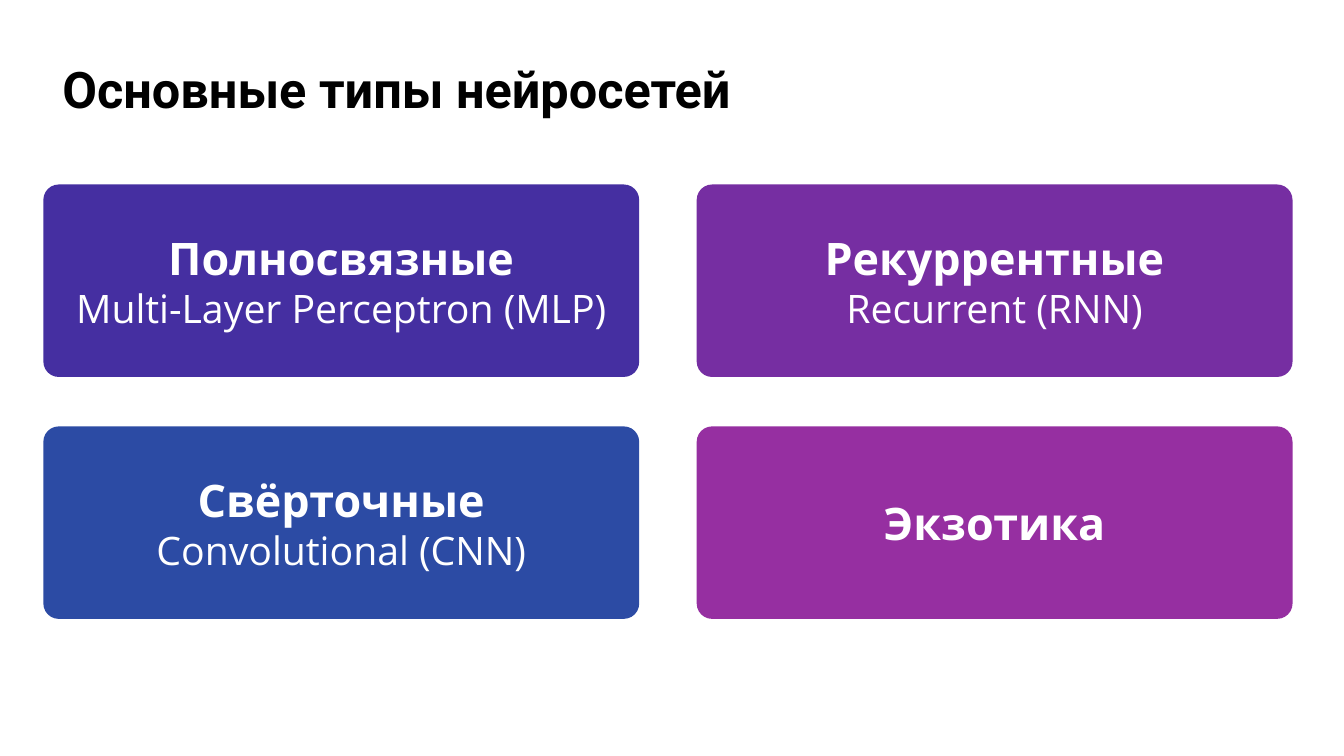
"""Builds a slide with the four main types of neural networks."""
import pptx
import pptx.util
import pptx.dml.color
import pptx.enum.shapes
import pptx.enum.text
from dataclasses import dataclass

Inches = pptx.util.Inches
Align = pptx.enum.text.PP_ALIGN

TITLE = "Основные типы нейросетей"
CARD_ROWS = [
    [("Полносвязные", "Multi-Layer Perceptron (MLP)", "452FA1"),
     ("Рекуррентные", "Recurrent (RNN)", "762EA2")],
    [("Свёрточные", "Convolutional (CNN)", "2C4BA4"),
     ("Экзотика", None, "962FA1")],
]


@dataclass(frozen=True)
class Theme:
    title_font: str = "Roboto"
    card_font: str = "Open Sans"
    title_color: str = "000000"
    card_text: str = "FFFFFF"
    title_size: int = 36
    name_size: int = 32
    detail_size: int = 28


THEME = Theme()
LEFT, TOP = 0.43, 1.83
CARD_WIDTH, CARD_HEIGHT = 5.91, 1.91
COLUMN_STEP, ROW_STEP = 6.48, 2.4
CORNER = 0.08


def write(paragraph, text, *, font, size, color, bold=False, align=Align.LEFT, spacing=None):
    paragraph.alignment = align
    paragraph.line_spacing = spacing
    run = paragraph.add_run()
    run.text = text
    run.font.name = font
    run.font.size = pptx.util.Pt(size)
    run.font.bold = bold
    run.font.color.rgb = pptx.dml.color.RGBColor.from_string(color)


def add_title(slide):
    box = slide.shapes.add_textbox(Inches(0.52), Inches(0.55), Inches(12.69), Inches(0.72))
    frame = box.text_frame
    frame.word_wrap = True
    frame.vertical_anchor = pptx.enum.text.MSO_ANCHOR.MIDDLE
    write(frame.paragraphs[0], TITLE, font=THEME.title_font, size=THEME.title_size,
          color=THEME.title_color, bold=True, spacing=0.9)


def add_card(slide, left, top, name, detail, fill):
    shape = slide.shapes.add_shape(
        pptx.enum.shapes.MSO_SHAPE.ROUNDED_RECTANGLE,
        Inches(left), Inches(top), Inches(CARD_WIDTH), Inches(CARD_HEIGHT))
    shape.adjustments[0] = CORNER
    shape.shadow.inherit = False
    shape.fill.solid()
    shape.fill.fore_color.rgb = pptx.dml.color.RGBColor.from_string(fill)
    shape.line.fill.background()
    frame = shape.text_frame
    frame.word_wrap = True
    frame.vertical_anchor = pptx.enum.text.MSO_ANCHOR.MIDDLE
    style = dict(font=THEME.card_font, color=THEME.card_text, align=Align.CENTER)
    write(frame.paragraphs[0], name, size=THEME.name_size, bold=True, **style)
    if detail:
        write(frame.add_paragraph(), detail, size=THEME.detail_size, **style)


def main():
    presentation = pptx.Presentation()
    presentation.slide_width = Inches(13.33)
    presentation.slide_height = Inches(7.5)
    slide = presentation.slides.add_slide(presentation.slide_layouts[6])
    add_title(slide)
    for row, cards in enumerate(CARD_ROWS):
        for column, card in enumerate(cards):
            add_card(slide, LEFT + column * COLUMN_STEP, TOP + row * ROW_STEP, *card)
    presentation.save("out.pptx")


if __name__ == "__main__":
    main()
